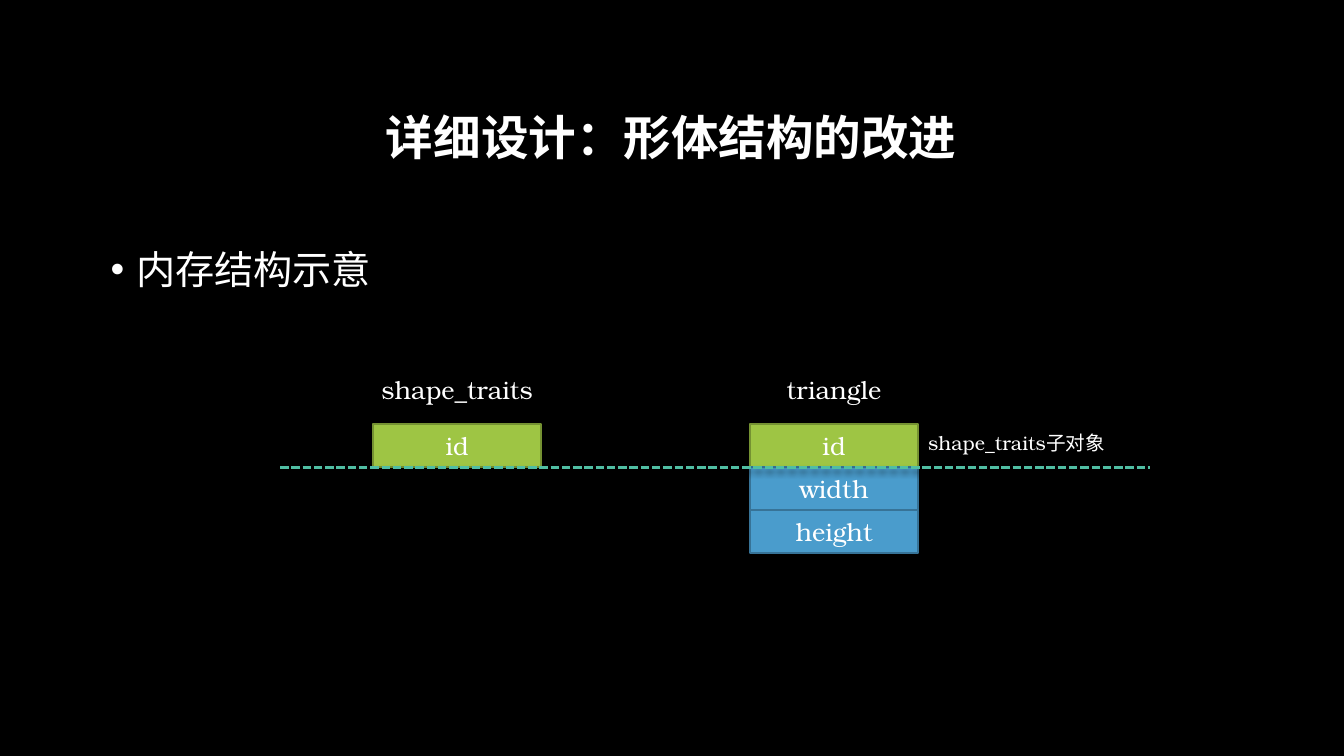
from lxml.etree import SubElement
from pptx import Presentation
from pptx.dml.color import RGBColor
from pptx.enum.dml import MSO_LINE
from pptx.enum.shapes import MSO_CONNECTOR, MSO_SHAPE
from pptx.enum.text import MSO_ANCHOR, MSO_AUTO_SIZE, PP_ALIGN
from pptx.oxml.ns import qn
from pptx.util import Cm, Pt

SERIF = "TeX Gyre Bonum"
GREEN = ("9EC544", "759232")
BLUE = ("4A9CCC", "377397")
WIDE, HIGH = 4.24, 1.08  # one memory cell, in cm
TOP = 10.69


def tint(code):
    return RGBColor.from_string(code)


def place(shape, box):
    for name, size in zip(("left", "top", "width", "height"), box):
        setattr(shape, name, Cm(size))


def write(shape, text, size, font=SERIF, bold=False, look=None, frame=None):
    """Fill a shape with one white paragraph; look and frame hold formats."""
    body = shape.text_frame
    for name, value in {"word_wrap": True, **(frame or {})}.items():
        setattr(body, name, value)
    para = body.paragraphs[0]
    para.text = text
    for name, value in (look or {}).items():
        setattr(para, name, value)
    face = para.runs[0].font
    for name, value in {"name": font, "size": Pt(size), "bold": bold}.items():
        setattr(face, name, value)
    face.color.rgb = tint("FFFFFF")
    return para


def add_text(slide, box, text, size, **form):
    shape = slide.shapes.add_textbox(*map(Cm, box))
    return write(shape, text, size, **form)


def add_bullet(para, indent):
    props = para._p.get_or_add_pPr()
    props.set("marL", str(Cm(indent)))
    props.set("indent", str(-Cm(indent)))
    SubElement(props, qn("a:buFont"), typeface="Arial")
    SubElement(props, qn("a:buChar"), char="•")


def add_cell(slide, left, top, text, tone):
    cell = slide.shapes.add_shape(
        MSO_SHAPE.RECTANGLE, Cm(left), Cm(top), Cm(WIDE), Cm(HIGH))
    cell.shadow.inherit = False
    cell.fill.solid()
    cell.fill.fore_color.rgb = tint(tone[0])
    cell.line.color.rgb = tint(tone[1])
    cell.line.width = Pt(1.5)
    write(cell, text, 18, look={"alignment": PP_ALIGN.CENTER},
          frame={"vertical_anchor": MSO_ANCHOR.MIDDLE})


def add_stack(slide, left, name, cells):
    """Draw a type's name above its column of memory cells."""
    span = 5.03
    add_text(slide, (left + (WIDE - span) / 2, 9.32, span, 1.02), name, 18,
             look={"alignment": PP_ALIGN.CENTER},
             frame={"auto_size": MSO_AUTO_SIZE.SHAPE_TO_FIT_TEXT})
    for row, (text, tone) in enumerate(cells):
        add_cell(slide, left, TOP + row * HIGH, text, tone)


def add_border(slide, start, end, level):
    """Draw the dashed line that closes the shared part, with its shadow."""
    rule = slide.shapes.add_connector(
        MSO_CONNECTOR.STRAIGHT, Cm(start), Cm(level), Cm(end), Cm(level))
    rule.line.color.rgb = tint("50BEA3")
    rule.line.width = Pt(2)
    rule.line.dash_style = MSO_LINE.SQUARE_DOT
    effects = SubElement(rule._element.spPr, qn("a:effectLst"))
    shade = SubElement(effects, qn("a:outerShdw"), blurRad=str(Pt(4)),
                       dist=str(Pt(3)), dir="5400000", rotWithShape="0")
    black = SubElement(shade, qn("a:srgbClr"), val="000000")
    SubElement(black, qn("a:alpha"), val="54000")


def main():
    deck = Presentation()
    deck.slide_width, deck.slide_height = Cm(33.87), Cm(19.05)
    slide = deck.slides.add_slide(deck.slide_layouts[5])
    back = slide.background.fill
    back.solid()
    back.fore_color.rgb = tint("000000")

    title = slide.shapes.title
    place(title, (2.54, 1.7, 28.75, 3.68))
    write(title, "详细设计：形体结构的改进", 34, bold=True,
          look={"alignment": PP_ALIGN.CENTER, "line_spacing": 0.9},
          frame={"vertical_anchor": MSO_ANCHOR.MIDDLE})
    point = add_text(slide, (2.54, 5.82, 28.75, 10.26), "内存结构示意", 28,
                     font="Courier New", look={"line_spacing": 1.2})
    add_bullet(point, 0.64)

    base, child = 9.4, 18.9
    add_stack(slide, base, "shape_traits", [("id", GREEN)])
    add_stack(slide, child, "triangle",
              [("id", GREEN), ("width", BLUE), ("height", BLUE)])
    add_text(slide, (child + WIDE, 10.74, 6.17, 0.86), "shape_traits子对象", 14,
             frame={"auto_size": MSO_AUTO_SIZE.SHAPE_TO_FIT_TEXT})
    add_border(slide, 7.06, 28.98, TOP + HIGH)
    deck.save("out.pptx")


if __name__ == "__main__":
    main()
